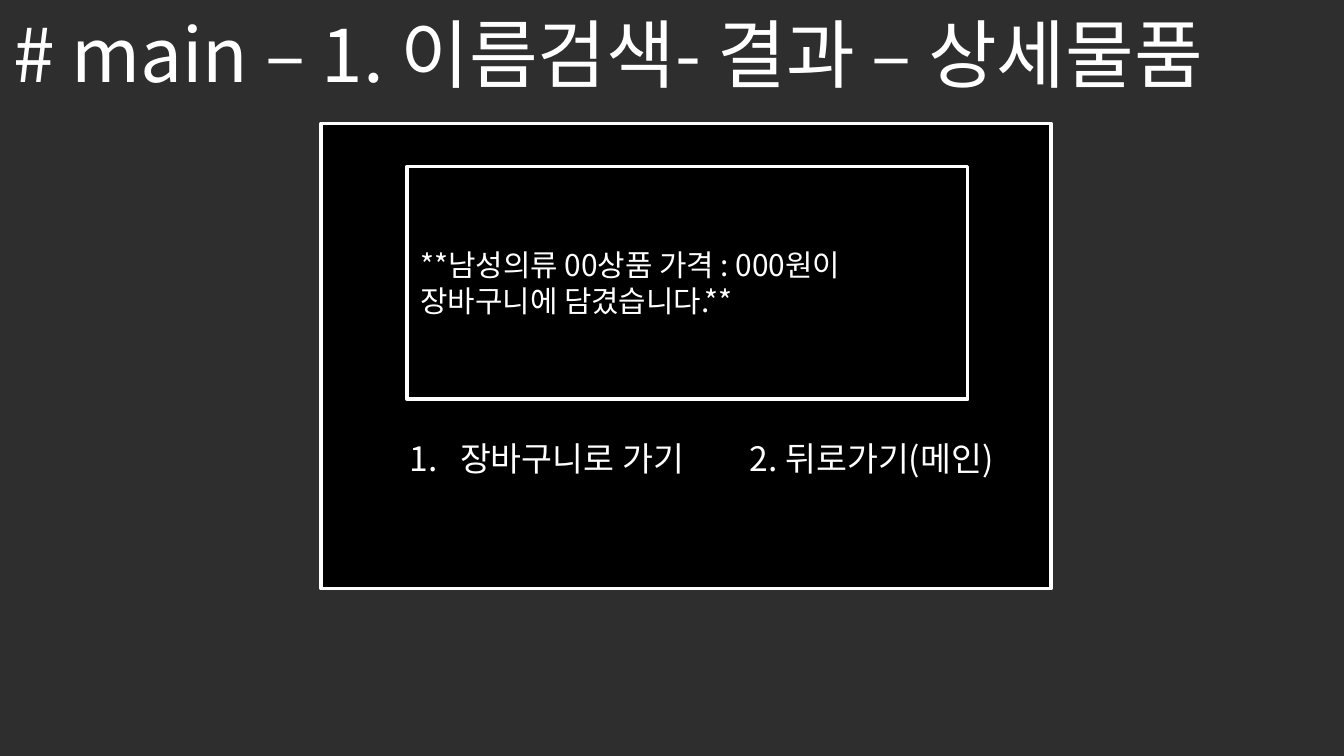
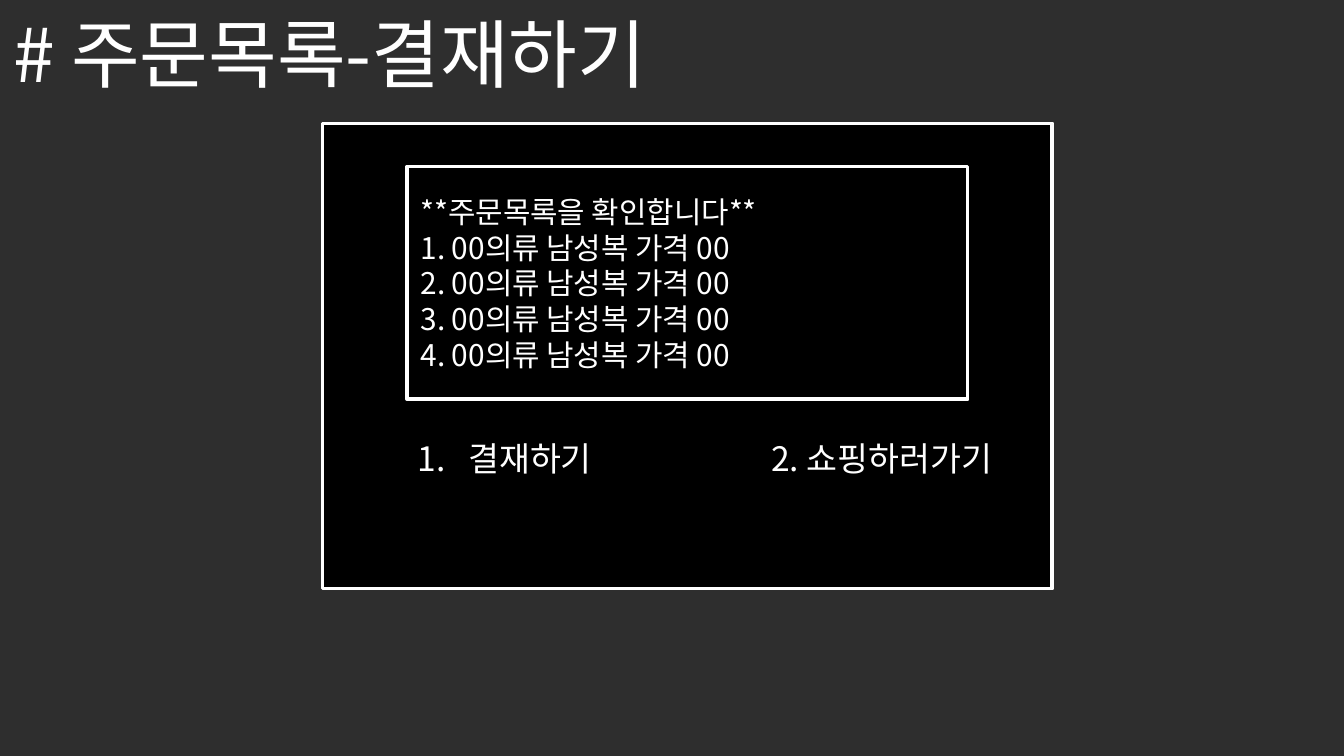
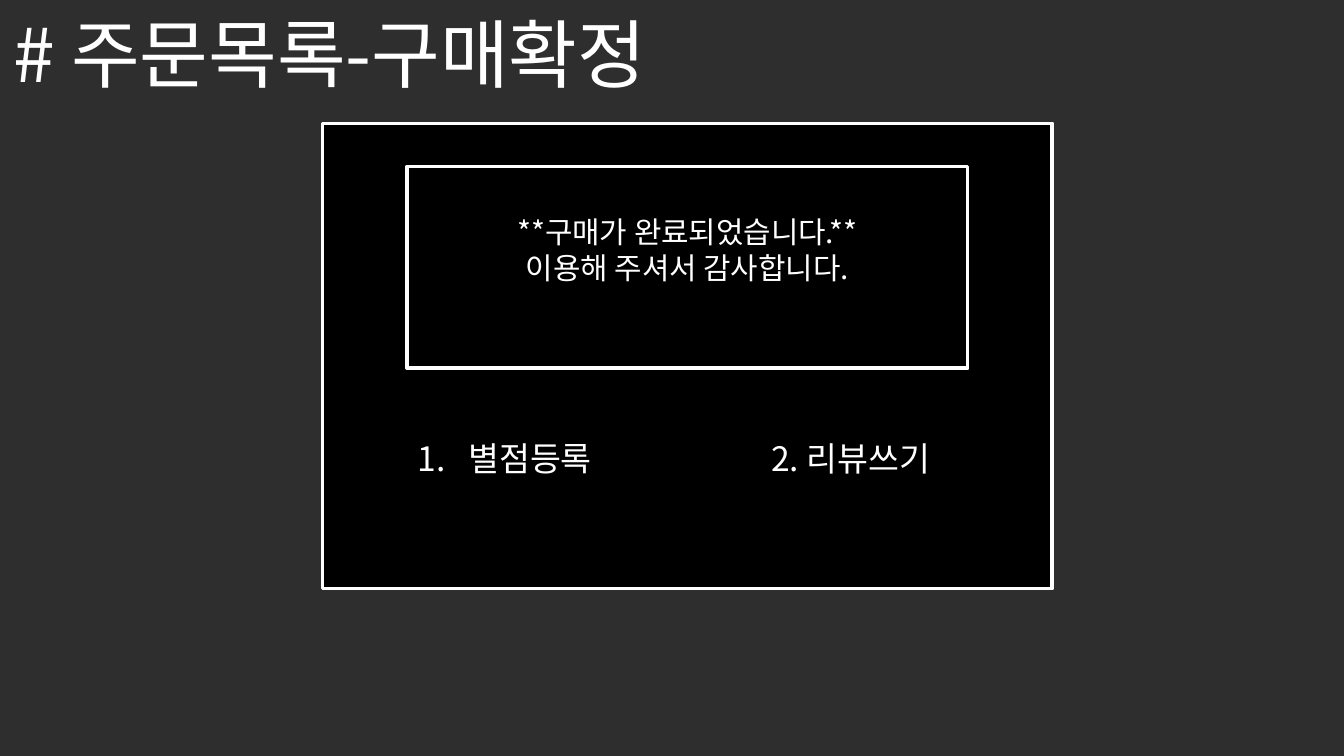
import dataclasses

import pptx
import pptx.dml.color
import pptx.enum.shapes
import pptx.enum.text
import pptx.oxml.ns
import pptx.util
from lxml import etree

Pt = pptx.util.Pt
Align = pptx.enum.text.PP_ALIGN


@dataclasses.dataclass(frozen=True)
class Theme:
    """Colours, font and type sizes that the slides share."""
    backdrop: str = "2E2E2E"
    panel: str = "000000"
    ink: str = "FFFFFF"
    font: str = "Noto Sans CJK KR"
    title: int = 40
    option: int = 18
    message: int = 16
    leading: float = 1.2
    border: int = 2


THEME = Theme()


@dataclasses.dataclass(frozen=True)
class Box:
    """A rectangle in points."""
    left: float
    top: float
    width: float
    height: float

    def inner(self, dx, dy, width, height):
        """Return a box offset from this one's top left corner."""
        return Box(self.left + dx, self.top + dy, width, height)

    def lengths(self):
        """Return left, top, width and height as lengths."""
        return [Pt(n) for n in (self.left, self.top, self.width, self.height)]


def rgb(code):
    """Turn a hex code into a colour."""
    return pptx.dml.color.RGBColor.from_string(code)


def write(frame, lines, size, align=Align.LEFT):
    """Write one paragraph per line in the shared type style."""
    frame.word_wrap = True
    for index, line in enumerate(lines):
        paragraph = frame.paragraphs[0] if index == 0 else frame.add_paragraph()
        paragraph.alignment = align
        paragraph.line_spacing = Pt(size * THEME.leading)
        run = paragraph.add_run()
        run.text = line
        for key, value in {"name": THEME.font, "size": Pt(size)}.items():
            setattr(run.font, key, value)
        run.font.color.rgb = rgb(THEME.ink)
        east_asian = etree.SubElement(run.font._element, pptx.oxml.ns.qn("a:ea"))
        east_asian.set("typeface", THEME.font)


def add_label(slide, box, text, size):
    """Add a one-paragraph text box that grows with its text."""
    frame = slide.shapes.add_textbox(*box.lengths()).text_frame
    write(frame, [text], size)
    frame.auto_size = pptx.enum.text.MSO_AUTO_SIZE.SHAPE_TO_FIT_TEXT
    return frame


def number(paragraph):
    """Give a paragraph automatic numbering with a hanging indent."""
    properties = paragraph._p.get_or_add_pPr()
    hang = Pt(27)
    for key, value in {"marL": hang, "indent": -hang}.items():
        properties.set(key, str(int(value)))
    numbering = etree.SubElement(properties, pptx.oxml.ns.qn("a:buAutoNum"))
    numbering.set("type", "arabicPeriod")


def add_frame(slide, box):
    """Add a black rectangle with a white border."""
    frame = slide.shapes.add_shape(
        pptx.enum.shapes.MSO_SHAPE.RECTANGLE, *box.lengths())
    frame.shadow.inherit = False
    frame.fill.solid()
    frame.fill.fore_color.rgb = rgb(THEME.panel)
    frame.line.color.rgb = rgb(THEME.ink)
    frame.line.width = Pt(THEME.border)
    return frame


def add_message(slide, box, lines, align, lift):
    """Add the framed message, raised by extra space below its text."""
    text = add_frame(slide, box).text_frame
    text.vertical_anchor = pptx.enum.text.MSO_ANCHOR.MIDDLE
    text.margin_bottom = Pt(3.6 + lift)
    write(text, lines, THEME.message, align)


def add_options(slide, box, first, second, first_dx, second_dx, widths):
    """Add the two choices below the message."""
    choice = add_label(
        slide, box.inner(first_dx, 0, widths[0], box.height), first, THEME.option)
    number(choice.paragraphs[0])
    add_label(
        slide, box.inner(second_dx, 0, widths[1], box.height), second, THEME.option)


def add_screen(deck, title, title_width, lines, options, panel_left=172.8,
               message_height=124.6, align=Align.LEFT, lift=0,
               starts=(43.9, 233.3), widths=(114.5, 144)):
    """Add a slide with a title, a console panel, its message and choices."""
    slide = deck.slides.add_slide(deck.slide_layouts[6])
    slide.background.fill.solid()
    slide.background.fill.fore_color.rgb = rgb(THEME.backdrop)
    panel = Box(panel_left, 66.2, 391, 249.1)
    add_frame(slide, panel)
    add_message(slide, panel.inner(218.2 - panel_left, 23.1, 300.2, message_height),
                lines, align, lift)
    add_label(slide, Box(0, 0.7, title_width, 55.4), title, THEME.title)
    add_options(slide, panel.inner(0, 164.9, panel.width, 28.8),
                *options, *starts, widths)


def build():
    """Build and save the deck."""
    deck = pptx.Presentation()
    deck.slide_width, deck.slide_height = Pt(720), Pt(405)
    add_screen(deck, "# main – 1. 이름검색- 결과 – 상세물품", 735.8,
               ["**남성의류 00상품 가격 : 000원이", "장바구니에 담겼습니다.**"],
               ("장바구니로 가기", "2. 뒤로가기(메인)"), panel_left=172.1,
               starts=(40.3, 222.5), widths=(182.2, 154.8))
    add_screen(deck, "# 주문목록-결재하기", 393.1,
               ["**주문목록을 확인합니다**"]
               + [f"{n}. 00의류 남성복 가격 00" for n in range(1, 5)],
               ("결재하기", "2. 쇼핑하러가기"))
    add_screen(deck, "# 주문목록-구매확정", 393.1,
               ["**구매가 완료되었습니다.**", "이용해 주셔서 감사합니다."],
               ("별점등록", "2. 리뷰쓰기"), message_height=108,
               align=Align.CENTER, lift=THEME.message * THEME.leading,
               widths=(114.5, 108))
    deck.save("out.pptx")


build()
